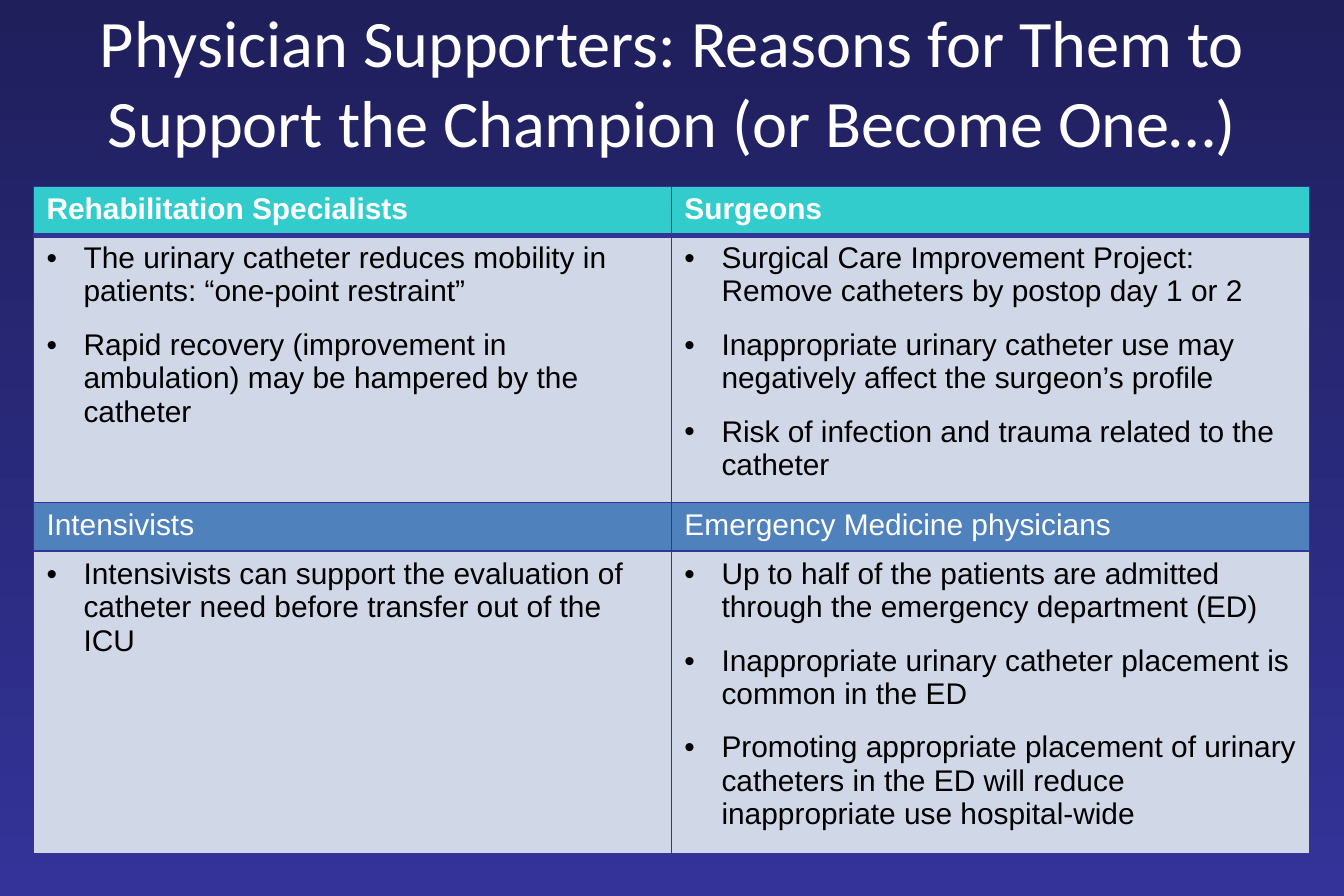
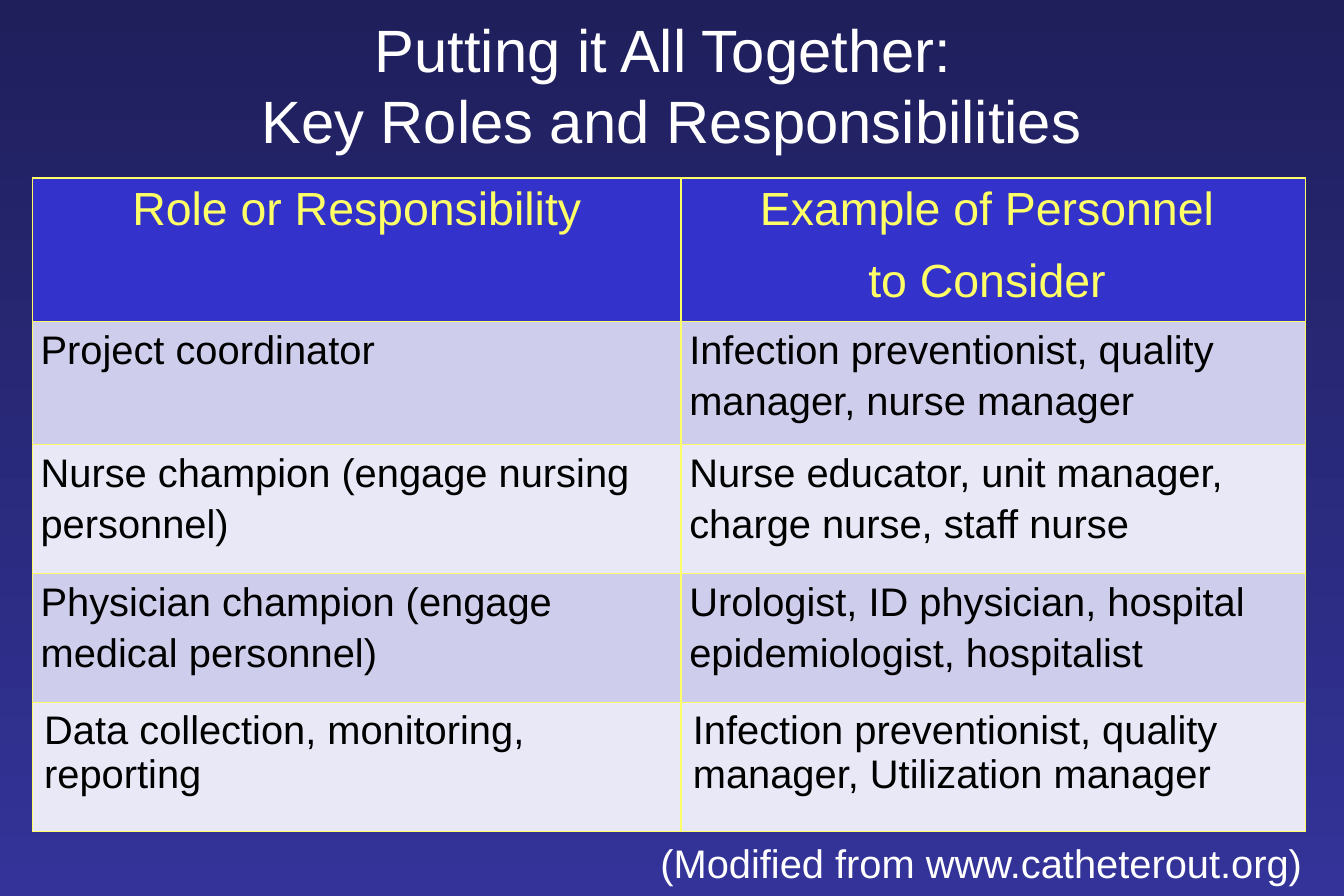
from pptx import Presentation
from pptx.dml.color import RGBColor
from pptx.enum.text import MSO_ANCHOR as Anchor, PP_ALIGN as Align
from pptx.oxml import parse_xml
from pptx.oxml.ns import nsdecls
from pptx.util import Inches, Pt

color = RGBColor.from_string
WHITE, BLACK, YELLOW, NAVY = "FFFFFF", "000000", "FFFF66", "333399"
PALE, LILAC, MIST = "D0D8E8", "CECEEC", "E8E8F6"


def write(frame, lines, size, ink, font="Arial", bold=False, align=Align.LEFT,
          bullet=False, spacing=None):
    frame.word_wrap = True
    frame.text = "\n".join(lines)
    for index, para in enumerate(frame.paragraphs):
        if bullet:
            props = para._p.get_or_add_pPr()
            props.set("marL", str(Inches(0.31)))
            props.set("indent", str(-Inches(0.31)))
            props.append(parse_xml(f'<a:buFont {nsdecls("a")} typeface="Arial"/>'))
            props.append(parse_xml(f'<a:buChar {nsdecls("a")} char="•"/>'))
        para.alignment = align
        para.space_before = Pt(6 if index else 0)
        para.space_after = Pt(6)
        if spacing:
            para.line_spacing = spacing
        for span in para.runs:
            span.font.name = font
            span.font.size = Pt(size)
            span.font.bold = bold
            span.font.color.rgb = color(ink)


def outline(cell, ink, top=1, bottom=1):
    props = cell._tc.get_or_add_tcPr()
    for side, width in (("L", 1), ("R", 1), ("T", top), ("B", bottom)):
        props.append(parse_xml(
            f'<a:ln{side} {nsdecls("a")} w="{Pt(width)}"><a:solidFill>'
            f'<a:srgbClr val="{ink}"/></a:solidFill></a:ln{side}>'))


heading = dict(size=18, ink=WHITE)
reasons = dict(size=18, ink=BLACK, bullet=True)
role = dict(size=24, ink=BLACK, spacing=1.15)
wide, tight, normal = (0.11, 0.05), (0.07, 0), (0.1, 0.05)

slides = [
    dict(
        title=["Physician Supporters: Reasons for Them to Support the Champion (or Become One…)"],
        title_at=(0, 0.05, 11.25, 1.25),
        title_style=dict(size=40, font="Calibri"),
        table_at=(0.28, 1.56),
        columns=(5.34, 5.34),
        line=NAVY,
        header_rule=3,
        rows=[
            (0.41, "33CCCC", wide, dict(heading, bold=True),
             [["Rehabilitation Specialists"], ["Surgeons"]]),
            (2.2, PALE, wide, reasons, [
                ["The urinary catheter reduces mobility in patients: “one-point restraint”",
                 "Rapid recovery (improvement in ambulation) may be hampered by the catheter"],
                ["Surgical Care Improvement Project: Remove catheters by postop day 1 or 2",
                 "Inappropriate urinary catheter use may negatively affect the surgeon’s profile",
                 "Risk of infection and trauma related to the catheter"]]),
            (0.41, "4F81BD", wide, heading,
             [["Intensivists"], ["Emergency Medicine physicians"]]),
            (2.2, PALE, wide, reasons, [
                ["Intensivists can support the evaluation of catheter need before transfer "
                 "out of the ICU"],
                ["Up to half of the patients are admitted through the emergency department (ED)",
                 "Inappropriate urinary catheter placement is common in the ED",
                 "Promoting appropriate placement of urinary catheters in the ED will reduce "
                 "inappropriate use hospital-wide"]]),
        ],
    ),
    dict(
        title=["Putting it All Together: \vKey Roles and Responsibilities"],
        title_at=(0.84, 0.08, 9.56, 1.25),
        title_style=dict(size=36),
        table_at=(0.27, 1.49),
        columns=(5.43, 5.23),
        line=YELLOW,
        header_rule=1,
        rows=[
            (1.18, "3333CC", normal, dict(size=28, ink=YELLOW, align=Align.CENTER),
             [["Role or Responsibility"], ["Example of Personnel ", "to Consider "]]),
            (1.03, LILAC, tight, role,
             [["Project coordinator"],
              ["Infection preventionist, quality manager, nurse manager"]]),
            (1.08, MIST, tight, role,
             [["Nurse champion (engage nursing personnel)"],
              ["Nurse educator, unit manager, charge nurse, staff nurse"]]),
            (1.08, LILAC, tight, role,
             [["Physician champion (engage medical personnel)"],
              ["Urologist, ID physician, hospital epidemiologist, hospitalist"]]),
            (1.08, MIST, normal, dict(size=24, ink=BLACK),
             [["Data collection, monitoring, reporting"],
              ["Infection preventionist, quality manager, Utilization manager"]]),
        ],
    ),
]

deck = Presentation()
deck.slide_width, deck.slide_height = Inches(11.25), Inches(7.5)

for content in slides:
    page = deck.slides.add_slide(deck.slide_layouts[6])
    backdrop = page.background.fill
    backdrop.gradient()
    backdrop.gradient_angle = 270
    for stop, shade in zip(backdrop.gradient_stops, ("1F1F5C", NAVY)):
        stop.color.rgb = color(shade)

    title = page.shapes.add_textbox(*map(Inches, content["title_at"]))
    title.text_frame.vertical_anchor = Anchor.MIDDLE
    write(title.text_frame, content["title"], ink=WHITE, align=Align.CENTER,
          **content["title_style"])

    rows, columns = content["rows"], content["columns"]
    table = page.shapes.add_table(
        len(rows), len(columns), *map(Inches, content["table_at"]),
        Inches(sum(columns)), Inches(sum(row[0] for row in rows))).table
    for column, width in zip(table.columns, columns):
        column.width = Inches(width)
    for index, (height, fill, (side, edge), style, texts) in enumerate(rows):
        table.rows[index].height = Inches(height)
        for cell, lines in zip(table.rows[index].cells, texts):
            outline(cell, content["line"],
                    top=content["header_rule"] if index == 1 else 1,
                    bottom=content["header_rule"] if index == 0 else 1)
            cell.fill.solid()
            cell.fill.fore_color.rgb = color(fill)
            cell.margin_left = cell.margin_right = Inches(side)
            cell.margin_top = cell.margin_bottom = Inches(edge)
            write(cell.text_frame, lines, **style)

credit = page.shapes.add_textbox(Inches(5.43), Inches(6.97), Inches(5.8), Inches(0.5))
write(credit.text_frame, ["(Modified from www.catheterout.org)"], 24, WHITE)

deck.save("out.pptx")
